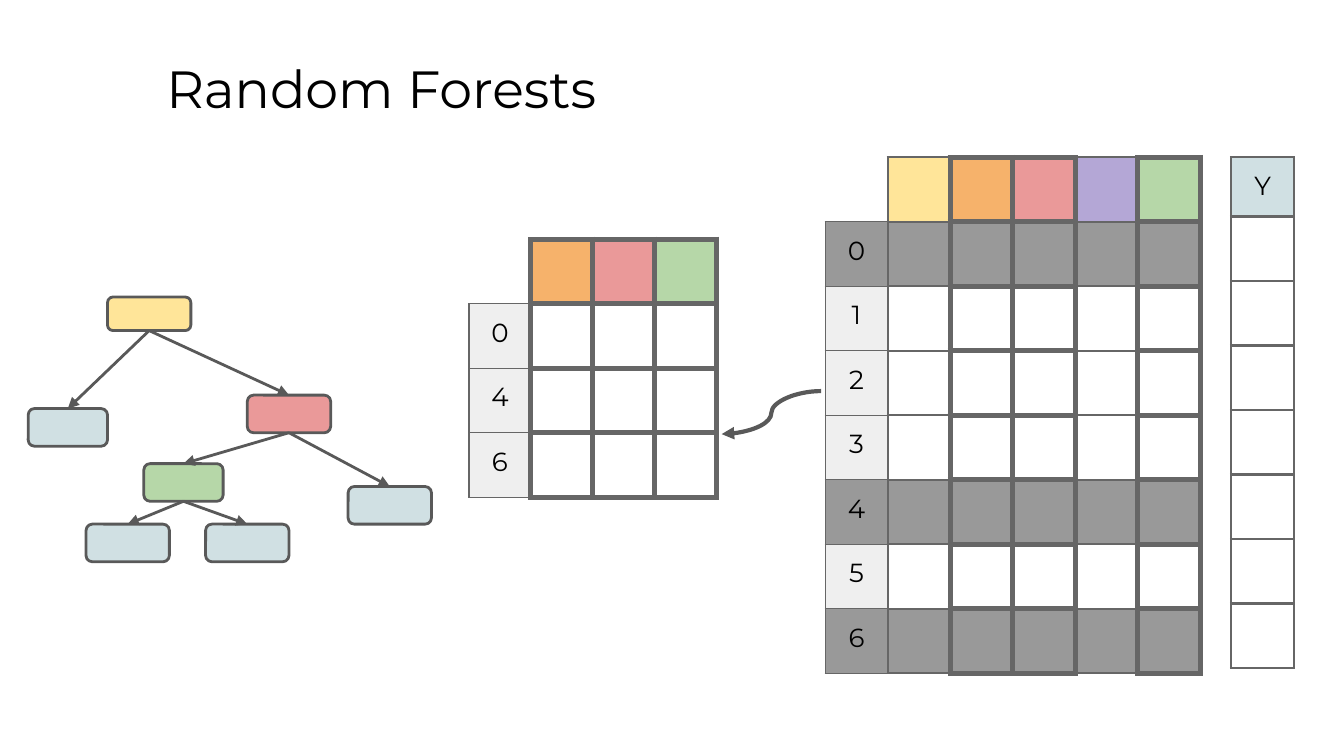
from dataclasses import dataclass

from lxml import etree
from pptx import Presentation
from pptx.dml.color import RGBColor
from pptx.enum import shapes, text
from pptx.oxml.ns import qn
from pptx.util import Pt

PX = 914400 // 200  # one px in EMU, 200 px to the inch


@dataclass(frozen=True)
class Theme:
    font: str = "Montserrat"
    title_size: int = 28
    label_size: int = 14
    ink: str = "000000"
    line: str = "595959"
    border: str = "666666"
    yellow: str = "FFE599"
    orange: str = "F6B26B"
    red: str = "EA9999"
    purple: str = "B4A7D6"
    green: str = "B6D7A8"
    leaf: str = "D0E0E3"
    index: str = "EFEFEF"
    chosen: str = "999999"


theme = Theme()
deck = Presentation()
deck.slide_width, deck.slide_height = 2000 * PX, 1125 * PX
page = deck.slides.add_slide(deck.slide_layouts[6])


def draw_table(left, top, column_width, row_heights, cells, edges):
    """Cells are (label, fill) pairs; edges give left, right, top, bottom widths by column."""
    frame = page.shapes.add_table(len(cells), len(edges), left * PX, top * PX,
                                  column_width * len(edges) * PX, sum(row_heights) * PX)
    table = frame.table
    table.first_row = table.horz_banding = False
    for column in table.columns:
        column.width = column_width * PX
    for row, height in zip(table.rows, row_heights):
        row.height = height * PX

    for row_number, row_cells in enumerate(cells):
        for column_number, (label, fill) in enumerate(row_cells):
            cell = table.cell(row_number, column_number)
            is_corner = row_number == column_number == 0 and label is None
            properties = cell._tc.get_or_add_tcPr()
            for side, width in zip("LRTB", edges[column_number]):
                if is_corner and side in "LT":
                    continue
                edge = etree.SubElement(properties, qn(f"a:ln{side}"), w=str(int(Pt(width))))
                solid = etree.SubElement(edge, qn("a:solidFill"))
                etree.SubElement(solid, qn("a:srgbClr"), val=theme.border)
            if fill:
                cell.fill.solid()
                cell.fill.fore_color.rgb = RGBColor.from_string(fill)
            else:
                cell.fill.background()
            if label:
                cell.margin_top = cell.margin_bottom = 20 * PX
                para = cell.text_frame.paragraphs[0]
                para.alignment = text.PP_ALIGN.CENTER
                span = para.add_run()
                span.text = label
                span.font.name = theme.font
                span.font.size = Pt(theme.label_size)
                span.font.color.rgb = RGBColor.from_string(theme.ink)


def draw_arrow(kind, start, end, width):
    arrow = page.shapes.add_connector(kind, *(value * PX for value in (*start, *end)))
    arrow.line.color.rgb = RGBColor.from_string(theme.line)
    arrow.line.width = Pt(width)
    etree.SubElement(arrow.line._get_or_add_ln(), qn("a:tailEnd"), type="triangle")
    etree.SubElement(arrow._element.spPr, qn("a:effectLst"))
    return arrow


# Title
box = page.shapes.add_textbox(228 * PX, 64 * PX, 1704 * PX, 126 * PX)
frame = box.text_frame
frame.word_wrap = True
frame.margin_left = frame.margin_right = frame.margin_top = frame.margin_bottom = 20 * PX
span = frame.paragraphs[0].add_run()
span.text = "Random Forests"
span.font.name = theme.font
span.font.size = Pt(theme.title_size)
span.font.color.rgb = RGBColor.from_string(theme.ink)

# Full data: sampled rows are grey, sampled columns have heavy borders
ROW = 96
THICK = (3, 3, 3, 3)
sampled_rows = (0, 4, 6)
features = (theme.yellow, theme.orange, theme.red, theme.purple, theme.green)
data = [[(None, None)] + [(None, colour) for colour in features]]
for number in range(7):
    shade = theme.chosen if number in sampled_rows else None
    data.append([(str(number), shade or theme.index)] + [(None, shade)] * len(features))
draw_table(1228, 234, 93, [ROW] * 8, data,
           [(0.75, 1.5, 0.75, 0.75), (1.5, 3, 1.5, 1.5), THICK, THICK, (3, 3, 1.5, 1.5), THICK])

# Target column
target = [[("Y", theme.leaf)]] + [[(None, None)]] * 7
draw_table(1832, 234, 94, [88] + [ROW] * 7, target, [(1.5, 1.5, 1.5, 1.5)])

# Sampled data
sample = [[(None, None)] + [(None, colour) for colour in (theme.orange, theme.red, theme.green)]]
for number in sampled_rows:
    sample.append([(str(number), theme.index)] + [(None, None)] * 3)
draw_table(698, 356, 92, [ROW] * 4, sample, [(0.75, 3, 0.75, 0.75)] + [THICK] * 3)

# Arrow from the full data to the sample
draw_arrow(shapes.MSO_CONNECTOR.CURVE, (1222, 582), (1074, 646), 2.25)

# Decision tree nodes: left, top, width, height, colour
tree = {
    "root": (160, 442, 124, 50, theme.yellow),
    "root leaf": (42, 608, 118, 56, theme.leaf),
    "red": (368, 588, 124, 56, theme.red),
    "red leaf": (518, 724, 124, 56, theme.leaf),
    "green": (214, 690, 118, 56, theme.green),
    "left leaf": (128, 780, 124, 56, theme.leaf),
    "right leaf": (306, 780, 124, 56, theme.leaf),
}
nodes = {}
for name, (left, top, width, height, colour) in tree.items():
    node = page.shapes.add_shape(shapes.MSO_SHAPE.ROUNDED_RECTANGLE,
                                 left * PX, top * PX, width * PX, height * PX)
    node.shadow.inherit = False
    node.fill.solid()
    node.fill.fore_color.rgb = RGBColor.from_string(colour)
    node.line.color.rgb = RGBColor.from_string(theme.line)
    node.line.width = Pt(1.5)
    nodes[name] = node

# Branches: bottom of the parent to top of the child
branches = (("root", "red"), ("root", "root leaf"), ("red", "red leaf"),
            ("red", "green"), ("green", "right leaf"), ("green", "left leaf"))
for parent, child in branches:
    branch = draw_arrow(shapes.MSO_CONNECTOR.STRAIGHT, (0, 0), (0, 0), 1.5)
    branch.begin_connect(nodes[parent], 2)
    branch.end_connect(nodes[child], 0)

deck.save("out.pptx")
